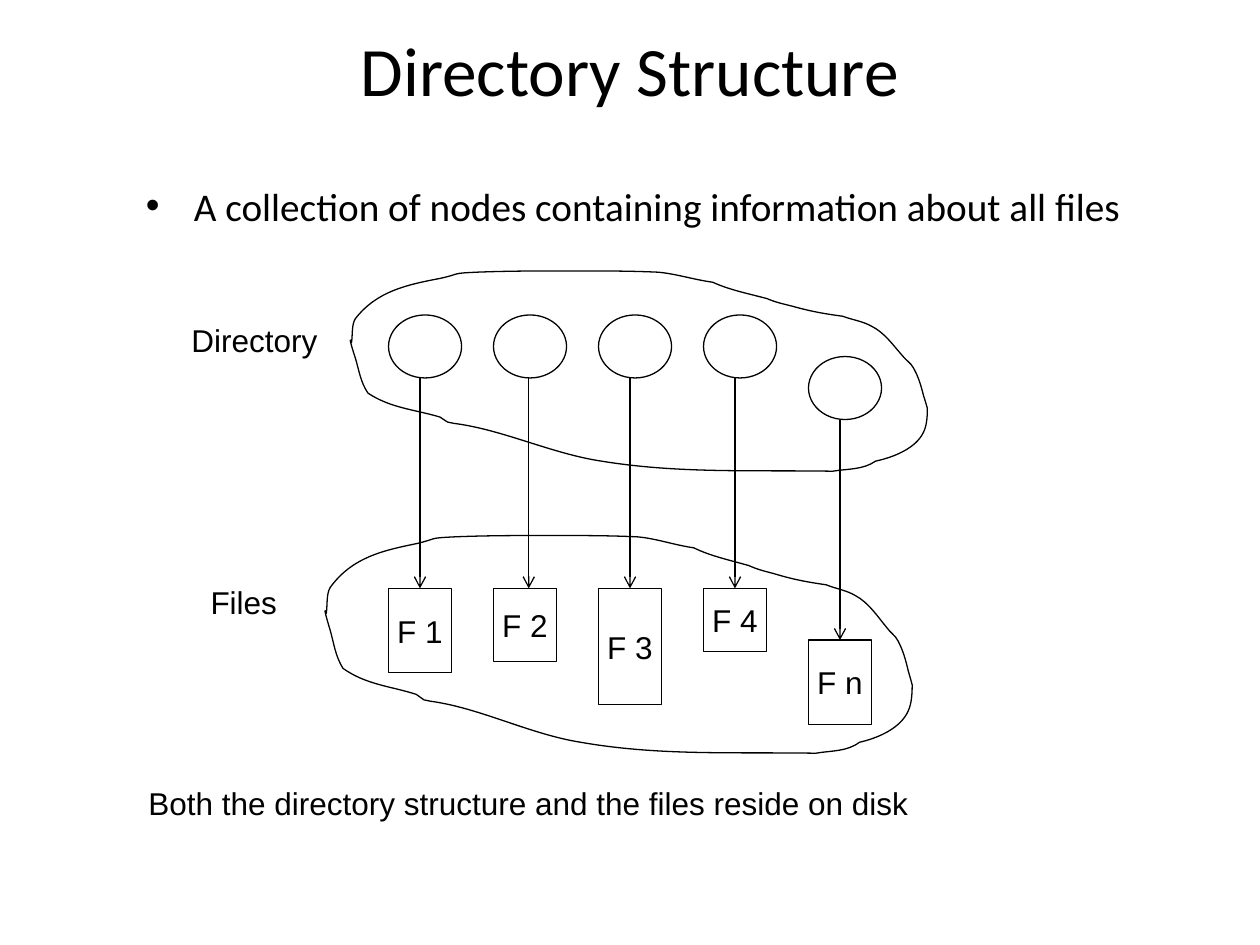
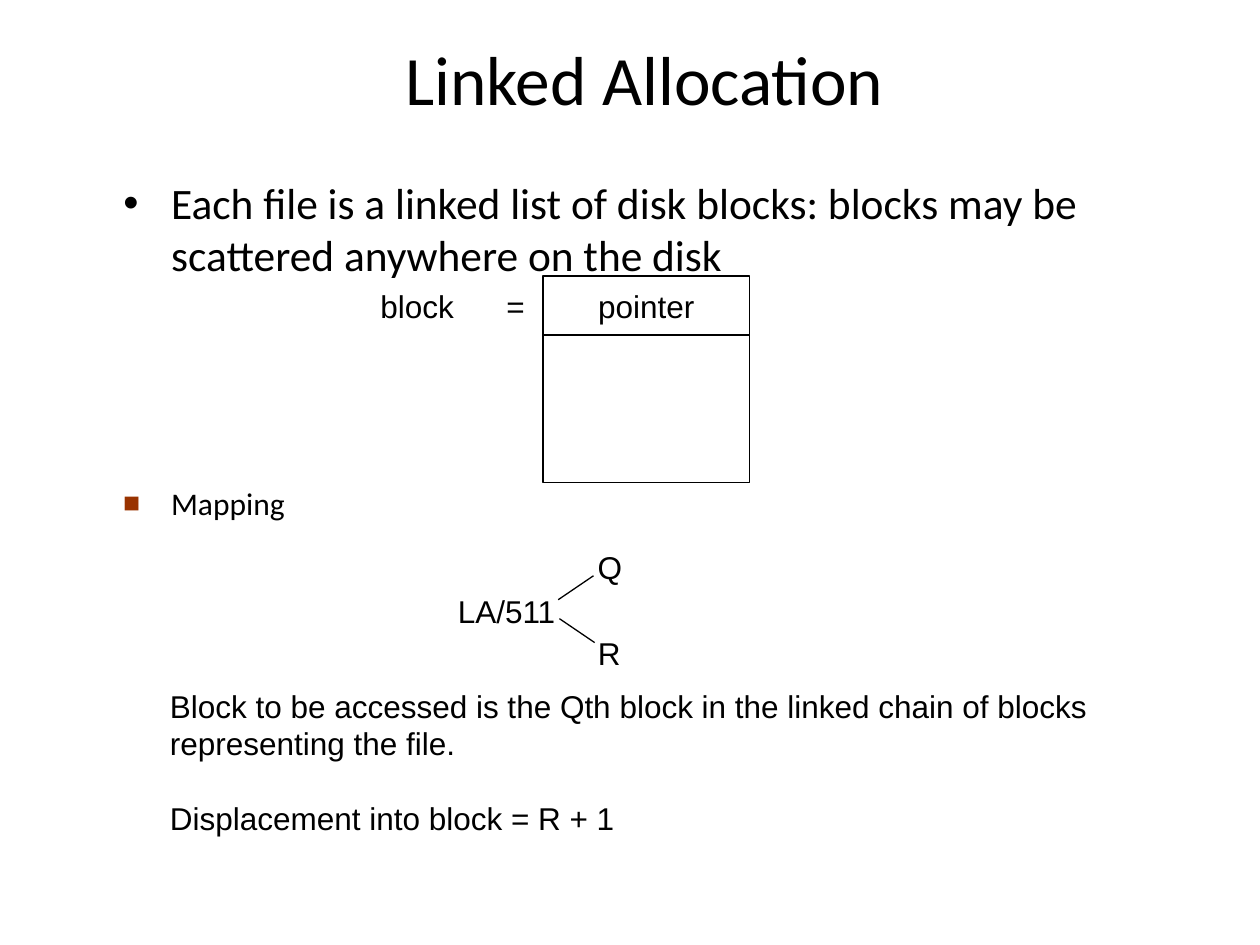
from lxml import etree
from pptx import Presentation
from pptx.dml.color import RGBColor
from pptx.enum.shapes import MSO_CONNECTOR, MSO_SHAPE
from pptx.enum.text import MSO_ANCHOR, MSO_AUTO_SIZE, PP_ALIGN
from pptx.oxml.ns import qn
from pptx.util import Inches, Pt

BLACK = RGBColor(0x00, 0x00, 0x00)
WHITE = RGBColor(0xFF, 0xFF, 0xFF)
RUST = RGBColor(0x99, 0x33, 0x00)
OVAL, RECTANGLE = MSO_SHAPE.OVAL, MSO_SHAPE.RECTANGLE
STRAIGHT = MSO_CONNECTOR.STRAIGHT
CENTER, LEFT = PP_ALIGN.CENTER, PP_ALIGN.LEFT
MIDDLE, TOP = MSO_ANCHOR.MIDDLE, MSO_ANCHOR.TOP
GROW = MSO_AUTO_SIZE.SHAPE_TO_FIT_TEXT

HEADING_FONT, LABEL_FONT = "Calibri", "Arial"
TITLE_SIZE, LABEL_SIZE = 39.6, 18
LINE_WIDTH = 0.75
BULLET_INDENT = 0.38
NOTE_INDENT = 0.5
LABEL_HEIGHT = 0.4

# Directory Structure: labels are (text, left, top, width)
STRUCTURE_LABELS = [("Directory", 1.42, 2.5, 1.2), ("Files", 1.57, 4.58, 0.73)]
FIRST_COLUMN, COLUMN_PITCH = 37 / 12, 10 / 12
NODE_WIDTH, NODE_HEIGHT, FILE_WIDTH = 0.58, 0.5, 0.5
# (name, node top, file top, file height, arrow offset in the column)
FILES = [
    ("F 1", 2.5, 4.67, 0.67, 0.25),
    ("F 2", 2.5, 4.67, 0.58, 0.28),
    ("F 3", 2.5, 4.67, 0.92, 0.25),
    ("F 4", 2.5, 4.67, 0.5, 0.25),
    ("F n", 2.83, 5.08, 0.67, 0.25),
]
# Both clouds share one outline: left, top, width, height
CLOUD_FRAME = (2.78, 2.15, 4.57, 1.61)
CLOUDS = [(2.78, 2.15, 4.58, 1.61), (2.58, 4.25, 4.66, 1.75)]
CLOUD_START = (2.79, 2.72)
# Each curve: two control points and an end point, inside CLOUD_FRAME
CLOUD_CURVES = [
    ((2.8, 2.65), (2.79, 2.58), (2.82, 2.53)),
    ((2.99, 2.31), (3.23, 2.26), (3.49, 2.21)),
    ((3.67, 2.17), (3.57, 2.17), (3.79, 2.16)),
    ((4.04, 2.15), (4.29, 2.15), (4.55, 2.15)),
    ((4.77, 2.15), (4.99, 2.15), (5.21, 2.16)),
    ((5.35, 2.17), (5.5, 2.22), (5.65, 2.24)),
    ((5.78, 2.3), (5.93, 2.33), (6.08, 2.37)),
    ((6.15, 2.4), (6.2, 2.41), (6.28, 2.43)),
    ((6.42, 2.47), (6.53, 2.49), (6.68, 2.51)),
    ((6.76, 2.54), (6.84, 2.55), (6.91, 2.59)),
    ((7.01, 2.64), (7.08, 2.74), (7.15, 2.82)),
    ((7.18, 2.86), (7.22, 2.88), (7.24, 2.92)),
    ((7.28, 2.99), (7.3, 3.06), (7.32, 3.14)),
    ((7.33, 3.17), (7.35, 3.24), (7.35, 3.24)),
    ((7.35, 3.28), (7.35, 3.37), (7.32, 3.43)),
    ((7.26, 3.56), (7.08, 3.63), (6.94, 3.66)),
    ((6.84, 3.73), (6.72, 3.72), (6.6, 3.74)),
    ((5.96, 3.73), (5.38, 3.76), (4.77, 3.66)),
    ((4.37, 3.6), (3.99, 3.41), (3.6, 3.36)),
    ((3.58, 3.36), (3.57, 3.35), (3.55, 3.35)),
    ((3.53, 3.34), (3.51, 3.32), (3.49, 3.31)),
    ((3.29, 3.25), (3.1, 3.24), (2.92, 3.12)),
    ((2.86, 3.03), (2.85, 2.94), (2.82, 2.84)),
    ((2.82, 2.84), (2.78, 2.72), (2.78, 2.7)),
    ((2.78, 2.69), (2.79, 2.71), (2.79, 2.72)),
]

# Linked Allocation
BLOCK_LEFT, BLOCK_TOP, BLOCK_WIDTH = 4.31, 2.19, 1.64
BLOCK_PARTS = [("pointer", 0.47), ("", 1.17)]
EQUALS_TAB = 1.0
QUOTIENT_LABELS = [
    ("LA/511", 3.53, 4.65, 0.98),
    ("Q", 4.64, 4.3, 0.4),
    ("R", 4.64, 4.98, 0.39),
]
BRANCHES = [((4.43, 4.76), (4.71, 4.57)), ((4.44, 4.91), (4.72, 5.1))]
ACCESS_NOTES = [
    "Block to be accessed is the Qth block in the linked chain of blocks representing the file.",
    "Displacement into block = R + 1",
]


def style_paragraph(para, text, size=LABEL_SIZE, font=LABEL_FONT, align=LEFT):
    para.text = text
    para.alignment = align
    para.font.size = Pt(size)
    para.font.name = font
    para.font.color.rgb = BLACK


def add_frame(page, area, anchor=TOP, wrap=True):
    frame = page.shapes.add_textbox(*map(Inches, area)).text_frame
    frame.word_wrap = wrap
    frame.vertical_anchor = anchor
    return frame


def add_title(page, area, text):
    frame = add_frame(page, area, MIDDLE)
    style_paragraph(frame.paragraphs[0], text, TITLE_SIZE, HEADING_FONT, CENTER)


def add_labels(page, labels):
    for text, left, top, width in labels:
        frame = add_frame(page, (left, top, width, LABEL_HEIGHT), MIDDLE, wrap=False)
        frame.auto_size = GROW
        style_paragraph(frame.paragraphs[0], text, align=CENTER)


def add_bullet(page, area, text, size, mark="•", mark_color=None, mark_percent=100,
               line_spacing=1.0, margin_top=0.05):
    frame = add_frame(page, area)
    frame.margin_top = Inches(margin_top)
    para = frame.paragraphs[0]
    para.line_spacing = line_spacing
    props = para._p.get_or_add_pPr()
    props.set("marL", str(Inches(BULLET_INDENT)))
    props.set("indent", str(-Inches(BULLET_INDENT)))
    if mark_color is not None:
        color = etree.SubElement(props, qn("a:buClr"))
        etree.SubElement(color, qn("a:srgbClr"), val=str(mark_color))
    etree.SubElement(props, qn("a:buSzPct"), val=str(mark_percent * 1000))
    etree.SubElement(props, qn("a:buFont"), typeface=LABEL_FONT)
    etree.SubElement(props, qn("a:buChar"), char=mark)
    style_paragraph(para, text, size, HEADING_FONT)


def outline(shape):
    shape.line.color.rgb = BLACK
    shape.line.width = Pt(LINE_WIDTH)


def add_node(page, kind, area, text=""):
    shape = page.shapes.add_shape(kind, *map(Inches, area))
    shape.shadow.inherit = False
    shape.fill.solid()
    shape.fill.fore_color.rgb = WHITE
    outline(shape)
    if text:
        shape.text_frame.word_wrap = False
        shape.text_frame.vertical_anchor = MIDDLE
        style_paragraph(shape.text_frame.paragraphs[0], text, align=CENTER)


def add_line(page, start, end, arrow=False):
    line = page.shapes.add_connector(STRAIGHT, *map(Inches, start + end))
    outline(line)
    if arrow:
        etree.SubElement(line.line._get_or_add_ln(), qn("a:tailEnd"), type="arrow")
    etree.SubElement(line._element.spPr, qn("a:effectLst"))


def bend_segments(shape):
    """Turn every three straight segments into one cubic curve."""
    segments = list(shape._element.iter(qn("a:lnTo")))
    for first in range(0, len(segments), 3):
        curve = etree.Element(qn("a:cubicBezTo"))
        segments[first].addprevious(curve)
        for segment in segments[first:first + 3]:
            curve.append(segment[0])
            segment.getparent().remove(segment)


def add_cloud(page, area):
    left, top, width, height = area
    frame_left, frame_top, frame_width, frame_height = CLOUD_FRAME

    def place(point):
        return (
            Inches(left + (point[0] - frame_left) * width / frame_width),
            Inches(top + (point[1] - frame_top) * height / frame_height),
        )

    builder = page.shapes.build_freeform(*place(CLOUD_START))
    builder.add_line_segments([place(point) for curve in CLOUD_CURVES for point in curve])
    shape = builder.convert_to_shape()
    bend_segments(shape)
    shape.shadow.inherit = False
    shape.fill.background()
    outline(shape)


def build_structure(page):
    add_title(page, (0.5, 0.23, 9, 0.63), "Directory Structure")
    add_bullet(page, (1.06, 1.5, 8.06, 0.39),
               "A collection of nodes containing information about all files",
               22.4, line_spacing=0.7)
    columns = [FIRST_COLUMN + index * COLUMN_PITCH for index in range(len(FILES))]
    for left, (_, node_top, _, _, _) in zip(columns, FILES):
        add_node(page, OVAL, (left, node_top, NODE_WIDTH, NODE_HEIGHT))
    for left, (name, _, file_top, file_height, _) in zip(columns, FILES):
        add_node(page, RECTANGLE, (left, file_top, FILE_WIDTH, file_height), name)
    for left, (_, node_top, file_top, _, offset) in zip(columns, FILES):
        arrow_x = left + offset
        add_line(page, (arrow_x, node_top + NODE_HEIGHT), (arrow_x, file_top), arrow=True)
    for area in CLOUDS:
        add_cloud(page, area)
    add_labels(page, STRUCTURE_LABELS)
    frame = add_frame(page, (1.08, 6.17, 8.31, 0.42))
    style_paragraph(frame.paragraphs[0],
                    "Both the directory structure and the files reside on disk")


def add_block(page):
    group = page.shapes.add_group_shape()
    top = BLOCK_TOP
    for text, height in BLOCK_PARTS:
        add_node(group, RECTANGLE, (BLOCK_LEFT, top, BLOCK_WIDTH, height), text)
        top += height
    para = add_frame(group, (2.92, 2.23, 1.36, LABEL_HEIGHT), MIDDLE).paragraphs[0]
    tabs = etree.SubElement(para._p.get_or_add_pPr(), qn("a:tabLst"))
    etree.SubElement(tabs, qn("a:tab"), pos=str(Inches(EQUALS_TAB)), algn="l")
    style_paragraph(para, "block\t=")


def add_access_notes(page):
    frame = add_frame(page, (0.75, 5.4, 8.57, 1.79))
    for index, note in enumerate(ACCESS_NOTES):
        para = frame.add_paragraph() if index else frame.paragraphs[0]
        para._p.get_or_add_pPr().set("marL", str(Inches(NOTE_INDENT)))
        if index:
            para.space_before = Pt(21)
        style_paragraph(para, note)


def build_allocation(page):
    add_title(page, (0.73, 0.3, 8.77, 0.63), "Linked Allocation")
    add_bullet(page, (0.88, 1.35, 8.29, 0.82),
               "Each file is a linked list of disk blocks: blocks may be scattered anywhere on the disk",
               24.8)
    add_block(page)
    add_bullet(page, (0.88, 3.4, 8.06, 0.99), "Mapping", LABEL_SIZE, "■", RUST, 90,
               margin_top=0.44)
    add_access_notes(page)
    quotient = page.shapes.add_group_shape()
    add_labels(quotient, QUOTIENT_LABELS)
    for start, end in BRANCHES:
        add_line(quotient, start, end)


def main():
    deck = Presentation()
    deck.slide_width, deck.slide_height = Inches(10), Inches(7.5)
    blank = deck.slide_layouts[6]
    for build in (build_structure, build_allocation):
        build(deck.slides.add_slide(blank))
    deck.save("out.pptx")


if __name__ == "__main__":
    main()
